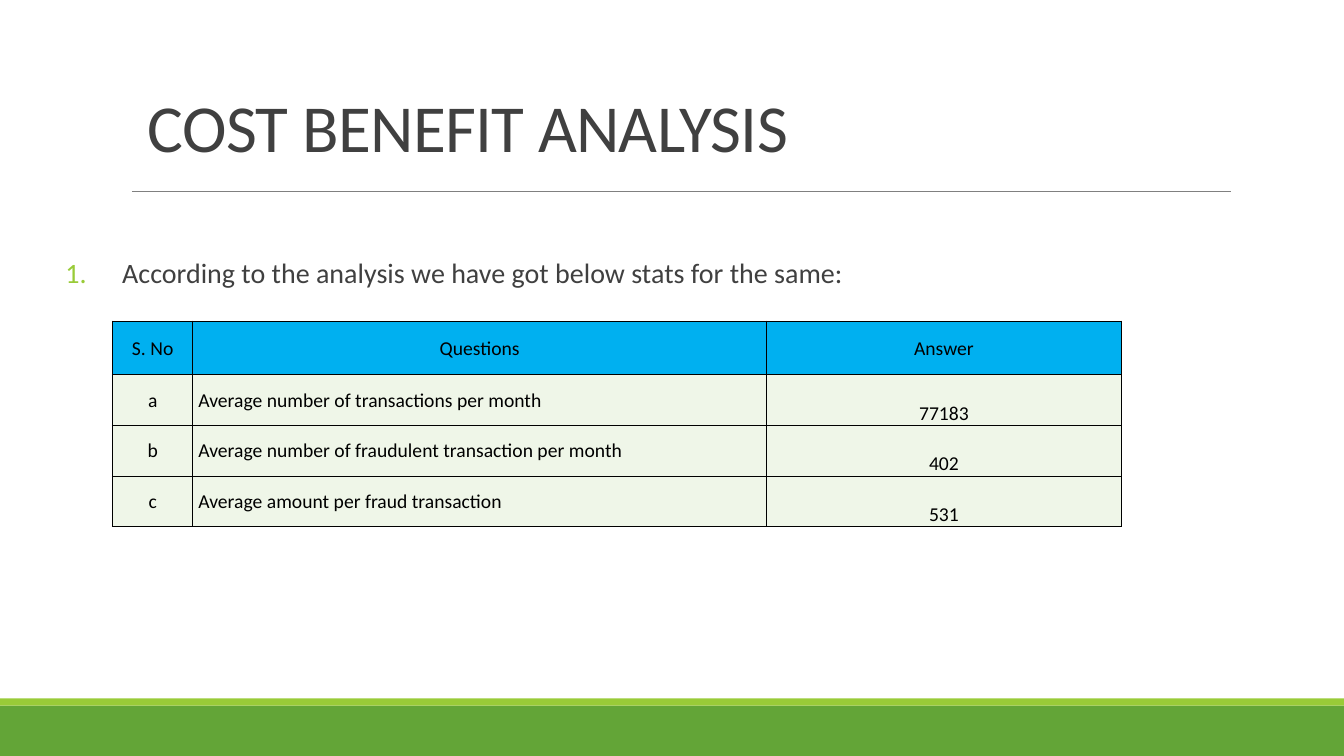
import pptx
import pptx.util
import pptx.dml.color
import pptx.enum.shapes
import pptx.enum.text
import pptx.oxml
import pptx.oxml.ns
import lxml.etree

Pt = pptx.util.Pt
ALIGN = pptx.enum.text.PP_ALIGN
ANCHOR = pptx.enum.text.MSO_ANCHOR
COLORS = {
    "green": "63A537",
    "lime": "99CB38",
    "rule": "808080",
    "heading": "404040",
    "black": "000000",
    "header": "00B0F0",
    "body": "EFF6E8",
}


def rgb(name):
    return pptx.dml.color.RGBColor.from_string(COLORS[name])


def write(frame, text, size, color, align=ALIGN.LEFT, spacing=1.0):
    paragraph = frame.paragraphs[0]
    paragraph.alignment = align
    paragraph.line_spacing = spacing
    run = paragraph.add_run()
    run.text = text
    run.font.name = "Calibri"
    run.font.size = Pt(size)
    run.font.color.rgb = rgb(color)
    return paragraph


deck = pptx.Presentation()
deck.slide_width, deck.slide_height = Pt(960), Pt(540)
slide = deck.slides.add_slide(deck.slide_layouts[6])
shapes = slide.shapes

for top, height, color in [(504, 36, "green"), (498.8, 5.2, "lime")]:
    band = shapes.add_shape(
        pptx.enum.shapes.MSO_SHAPE.RECTANGLE, 0, Pt(top), Pt(960), Pt(height))
    band.shadow.inherit = False
    band.fill.solid()
    band.fill.fore_color.rgb = rgb(color)
    band.line.fill.background()

rule = shapes.add_connector(
    pptx.enum.shapes.MSO_CONNECTOR.STRAIGHT, Pt(94.3), Pt(136.6), Pt(879), Pt(136.6))
rule.line.color.rgb = rgb("rule")
rule.line.width = Pt(0.5)
lxml.etree.SubElement(rule._element.spPr, pptx.oxml.ns.qn("a:effectLst"))

title = shapes.add_textbox(Pt(98.6), Pt(52.6), Pt(820.8), Pt(69.8)).text_frame
title.word_wrap = True
title.vertical_anchor = ANCHOR.BOTTOM
heading = write(title, "COST BENEFIT ANALYSIS", 48, "heading", spacing=0.85)
heading.runs[0].font._element.set("spc", "-50")

intro = shapes.add_textbox(Pt(46.8), Pt(185.5), Pt(883.4), Pt(26)).text_frame
intro.word_wrap = True
intro.margin_left = intro.margin_right = intro.margin_top = intro.margin_bottom = 0
item = write(intro, "According to the analysis we have got below stats for the same:",
             20, "heading", spacing=0.9)
numbering = item._element.get_or_add_pPr()
numbering.set("marL", str(Pt(40.5)))
numbering.set("indent", str(-Pt(40.5)))
namespace = pptx.oxml.ns.nsdecls("a")
for xml in [
    f'<a:buClr {namespace}><a:srgbClr val="{COLORS["lime"]}"/></a:buClr>',
    f'<a:buFont {namespace} typeface="+mj-lt"/>',
    f'<a:buAutoNum {namespace} type="arabicPeriod"/>',
]:
    numbering.append(pptx.oxml.parse_xml(xml))

stats = [
    ("S. No", "Questions", "Answer"),
    ("a", "Average number of transactions per month", "77183"),
    ("b", "Average number of fraudulent transaction per month", "402"),
    ("c", "Average amount per fraud transaction", "531"),
]
table = shapes.add_table(4, 3, Pt(80.4), Pt(229.5), Pt(720.7), Pt(146.8)).table
for column, width in zip(table.columns, [57.4, 409.8, 253.5]):
    column.width = Pt(width)
for row, height in zip(table.rows, [38.2, 36.2, 36.2, 36.2]):
    row.height = Pt(height)

for r, record in enumerate(stats):
    for c, text in enumerate(record):
        cell = table.cell(r, c)
        question = r > 0 and c == 1
        answer = r > 0 and c == 2
        cell.margin_left = Pt(3.9 if question else 0.7)
        cell.margin_right = cell.margin_top = Pt(0.7)
        cell.margin_bottom = 0
        cell.vertical_anchor = ANCHOR.BOTTOM if answer else ANCHOR.MIDDLE
        write(cell.text_frame, text, 14, "black",
              align=ALIGN.LEFT if question else ALIGN.CENTER)
        properties = cell._tc.get_or_add_tcPr()
        for side in ["lnL", "lnR", "lnT", "lnB"]:
            properties.append(pptx.oxml.parse_xml(
                f'<a:{side} {namespace} w="{Pt(1)}"><a:solidFill>'
                f'<a:srgbClr val="{COLORS["black"]}"/></a:solidFill></a:{side}>'))
        cell.fill.solid()
        cell.fill.fore_color.rgb = rgb("body" if r else "header")

deck.save("out.pptx")
